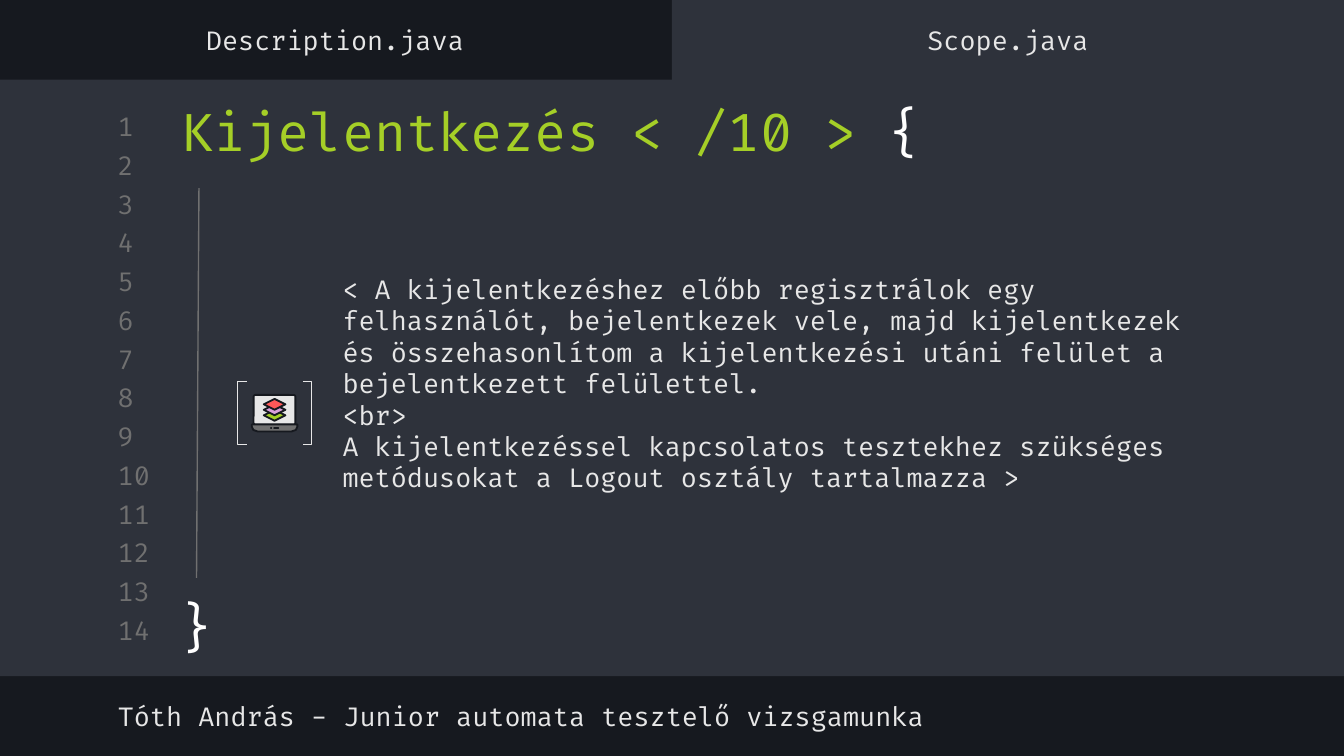
from lxml.etree import SubElement
from pptx import Presentation
from pptx.dml.color import RGBColor
from pptx.enum.shapes import MSO_CONNECTOR, MSO_SHAPE as SHAPE
from pptx.enum.text import MSO_ANCHOR as ANCHOR, MSO_AUTO_SIZE, PP_ALIGN as ALIGN
from pptx.oxml.ns import qn
from pptx.util import Pt

DARK = RGBColor(0x16, 0x19, 0x1F)
PANEL = RGBColor(0x2E, 0x32, 0x3B)
GREY = RGBColor(0x70, 0x70, 0x70)
LIGHT = RGBColor(0xE7, 0xE7, 0xE7)
WHITE = RGBColor(0xFF, 0xFF, 0xFF)
GREEN = RGBColor(0xA5, 0xCF, 0x27)
PINK = RGBColor(0xDB, 0xA0, 0xDB)
RED = RGBColor(0xFF, 0x58, 0x58)


class EditorSlide:
    font = "Fira Code"
    body_size = 14
    title_size = 28
    line_width = 0.75

    def __init__(self, prs):
        self.s = prs.slides.add_slide(prs.slide_layouts[5])
        fill = self.s.background.fill
        fill.solid()
        fill.fore_color.rgb = DARK

    def style(self, sp, fill=None, line=None, width=line_width):
        sp.shadow.inherit = False
        if fill is None:
            sp.fill.background()
        else:
            sp.fill.solid()
            sp.fill.fore_color.rgb = fill
        if line is None:
            sp.line.fill.background()
        else:
            sp.line.color.rgb = line
            sp.line.width = Pt(width)
        return sp

    def shape(self, kind, x, y, w, h, fill=None, line=None, width=line_width, adj=None):
        sp = self.s.shapes.add_shape(kind, Pt(x), Pt(y), Pt(w), Pt(h))
        if adj is not None:
            sp.adjustments[0] = adj
        return self.style(sp, fill, line, width)

    def outline(self, points, fill, line, width):
        start, *rest = [(Pt(x), Pt(y)) for x, y in points]
        builder = self.s.shapes.build_freeform(*start)
        builder.add_line_segments(rest, close=True)
        return self.style(builder.convert_to_shape(), fill, line, width)

    def frame(self, sp, anchor):
        tf = sp.text_frame
        tf.word_wrap = True
        tf.auto_size = MSO_AUTO_SIZE.NONE
        tf.vertical_anchor = anchor
        tf.margin_left = tf.margin_right = tf.margin_top = tf.margin_bottom = Pt(7.2)
        return tf

    def text(self, text, x, y, w, h, color=LIGHT, size=body_size,
             align=ALIGN.LEFT, anchor=ANCHOR.MIDDLE):
        sp = self.s.shapes.add_textbox(Pt(x), Pt(y), Pt(w), Pt(h))
        tf = self.frame(sp, anchor)
        tf.text = text
        for p in tf.paragraphs:
            p.alignment = align
            p.font.name = self.font
            p.font.size = Pt(size)
            p.font.color.rgb = color

    def title(self, parts, x, y, w, h):
        sp = self.s.shapes.title
        self.s.shapes.element.append(sp.element)
        sp.left, sp.top, sp.width, sp.height = Pt(x), Pt(y), Pt(w), Pt(h)
        p = self.frame(sp, ANCHOR.MIDDLE).paragraphs[0]
        p.alignment = ALIGN.LEFT
        p.font.name = self.font
        p.font.size = Pt(self.title_size)
        for text, color in parts:
            r = p.add_run()
            r.text = text
            r.font.color.rgb = color

    def line(self, x1, y1, x2, y2, color):
        cxn = self.s.shapes.add_connector(
            MSO_CONNECTOR.STRAIGHT, Pt(x1), Pt(y1), Pt(x2), Pt(y2))
        cxn.line.color.rgb = color
        cxn.line.width = Pt(self.line_width)
        SubElement(cxn.element.spPr, qn("a:effectLst"))

    def laptop(self, cx, top):
        self.shape(SHAPE.ROUNDED_RECTANGLE, cx - 11.2, top, 22.4, 16, LIGHT, DARK, 1, 0.06)
        base = top + 15.8
        right = [(12.2, 0), (12.2, 1.2), (11.4, 3), (9, 3.8)]
        left = [(-dx, dy) for dx, dy in reversed(right)]
        self.outline([(cx + dx, base + dy) for dx, dy in right + left], GREY, DARK, 1)
        self.shape(SHAPE.OVAL, cx - 2.4, base + 1.4, 1, 1, DARK)
        self.shape(SHAPE.ROUNDED_RECTANGLE, cx - 0.6, base + 1.4, 3, 1, DARK, adj=0.5)
        for i, color in enumerate((GREEN, PINK, RED)):
            y = top + 10.9 - 2.95 * i
            self.outline([(cx, y - 2.9), (cx + 5.8, y), (cx, y + 2.9), (cx - 5.8, y)],
                         color, DARK, 1)


def main():
    prs = Presentation()
    prs.slide_width, prs.slide_height = Pt(720), Pt(405)
    e = EditorSlide(prs)

    e.shape(SHAPE.RECTANGLE, 0, 42.6, 720, 319.6, PANEL)
    e.shape(SHAPE.RECTANGLE, 360, 0, 360, 46.8, PANEL)
    for i in range(14):
        e.text(str(i + 1), 56, 59 + 20.75 * i, 33.8, 17.3, GREY)

    e.text("< A kijelentkezéshez előbb regisztrálok egy felhasználót, bejelentkezek vele, "
           "majd kijelentkezek és összehasonlítom a kijelentkezési utáni felület a "
           "bejelentkezett felülettel.\n<br>\n"
           "A kijelentkezéssel kapcsolatos tesztekhez szükséges metódusokat a Logout "
           "osztály tartalmazza >", 176.4, 100.9, 488.9, 208.8)
    e.title([("Kijelentkezés < /10 > ", GREEN), ("{", WHITE)], 90, 49, 597.6, 41.8)

    e.laptop(147.1, 211.6)
    for kind, x in ((SHAPE.LEFT_BRACKET, 127.3), (SHAPE.RIGHT_BRACKET, 162.2)):
        e.shape(kind, x, 204.5, 4.8, 33.8, line=LIGHT, adj=0)

    e.text("Tóth András - Junior automata tesztelő vizsgamunka", 56, 369.7, 563, 28)
    for name, x in (("Description.java", -0.5), ("Scope.java", 360)):
        e.text(name, x, 7.5, 360, 28, align=ALIGN.CENTER)

    e.line(106.6, 100.8, 105.3, 309.6, GREY)
    e.text("}", 85.7, 311, 39.6, 48.2, WHITE, e.title_size, ALIGN.CENTER, ANCHOR.TOP)
    prs.save("out.pptx")


if __name__ == "__main__":
    main()
